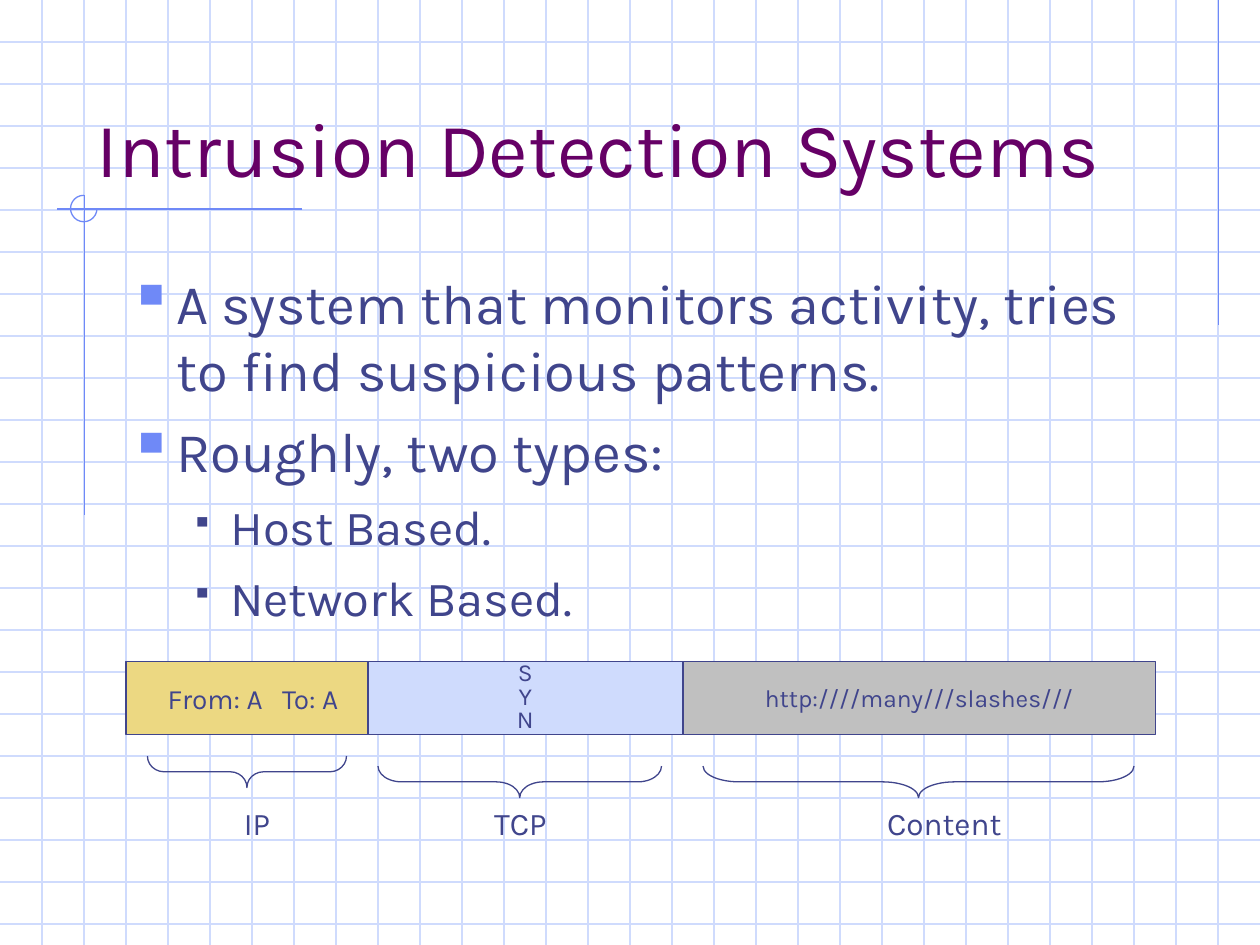
from dataclasses import dataclass
from typing import Any

import lxml.etree
import pptx
import pptx.dml.color
import pptx.enum.shapes
import pptx.enum.text
import pptx.oxml.ns
import pptx.slide
import pptx.util

Inches = pptx.util.Inches
Pt = pptx.util.Pt
RGBColor = pptx.dml.color.RGBColor
Shape = pptx.enum.shapes.MSO_SHAPE
Align = pptx.enum.text.PP_ALIGN
Anchor = pptx.enum.text.MSO_ANCHOR
qn = pptx.oxml.ns.qn

GRID_BLUE = RGBColor(0xCF, 0xDB, 0xFD)
ACCENT_BLUE = RGBColor(0x6F, 0x89, 0xF7)
INDIGO = RGBColor(0x40, 0x45, 0x8C)
PURPLE = RGBColor(0x66, 0x00, 0x66)
GOLD = RGBColor(0xEC, 0xD8, 0x82)
SILVER = RGBColor(0xC0, 0xC0, 0xC0)

PAGE_WIDTH, PAGE_HEIGHT = 10, 7.5
GRID_STEP = 1 / 3
FIELD_TOP, FIELD_HEIGHT = 5.25, 0.58
BRACE_DEPTH = 0.25
LABEL_TOP, LABEL_HEIGHT = 6.33, 0.4


@dataclass(frozen=True)
class Rule:
    start: tuple[float, float]
    end: tuple[float, float]
    color: RGBColor = ACCENT_BLUE


@dataclass(frozen=True)
class BulletLevel:
    indent: float
    hanging: float
    before: float
    size: float
    color: RGBColor
    percent: int


@dataclass(frozen=True)
class PacketField:
    left: float
    width: float
    fill: RGBColor
    lines: tuple[str, ...]
    text_format: dict[str, Any]
    size: float
    inset: float = 0.1
    tab: float | None = None


@dataclass(frozen=True)
class Brace:
    left: float
    top: float
    length: float


@dataclass(frozen=True)
class Label:
    text: str
    left: float
    width: float


GRID = [
    Rule((0, GRID_STEP * row), (PAGE_WIDTH, GRID_STEP * row), GRID_BLUE) for row in range(1, 23)
] + [
    Rule((GRID_STEP * column, 0), (GRID_STEP * column, PAGE_HEIGHT), GRID_BLUE)
    for column in range(1, 30)
]
ACCENTS = [
    Rule((9.67, 0), (9.67, 2.58)),
    Rule((2.4, 1.66), (0.45, 1.66)),
    Rule((0.67, 1.55), (0.67, 4.09)),
]
TOPIC = BulletLevel(0.38, 0.38, 8, 32, ACCENT_BLUE, 110)
DETAIL = BulletLevel(0.81, 0.31, 7, 28, INDIGO, 60)
BULLETS = [
    ("A system that monitors activity, tries to find suspicious patterns.", TOPIC),
    ("Roughly, two types:", TOPIC),
    ("Host Based.", DETAIL),
    ("Network Based.", DETAIL),
]
CENTERED = {"alignment": Align.CENTER}
FIELDS = [
    PacketField(1, 2, GOLD, ("From: A\tTo: A",), {"alignment": Align.LEFT}, 16, 0.33, 0.91),
    PacketField(2.92, 2.5, GRID_BLUE, ("S", "Y", "N"), CENTERED | {"line_spacing": 0.8}, 14),
    PacketField(5.42, 3.75, SILVER, ("http:////many///slashes///",), CENTERED, 14),
]
BRACES = [Brace(1.17, 6, 1.58), Brace(3, 6.08, 2.25), Brace(5.58, 6.08, 3.42)]
LABELS = [Label("IP", 1.58, 0.92), Label("TCP", 3.67, 0.92), Label("Content", 6.83, 1.33)]


def apply(target: Any, values: dict[str, Any]) -> None:
    for name, value in values.items():
        setattr(target, name, value)


def add_property(para: Any, tag: str, **attributes: str) -> Any:
    properties = para._p.get_or_add_pPr()
    return lxml.etree.SubElement(properties, qn(tag), attributes)


def write(para: Any, text: str, size: float, color: RGBColor = INDIGO) -> None:
    span = para.add_run()
    span.text = text
    apply(span.font, {"name": "Karla", "size": Pt(size)})
    span.font.color.rgb = color


def add_text_box(page: pptx.slide.Slide, left: float, top: float, width: float, height: float,
                 anchor: Any = Anchor.TOP) -> Any:
    box = page.shapes.add_textbox(Inches(left), Inches(top), Inches(width), Inches(height))
    apply(box.text_frame, {"word_wrap": True, "vertical_anchor": anchor})
    return box.text_frame


def paragraph_at(frame: Any, index: int) -> Any:
    return frame.add_paragraph() if index else frame.paragraphs[0]


def add_outline(page: pptx.slide.Slide, kind: Any, left: float, top: float, width: float,
                height: float, color: RGBColor = INDIGO) -> Any:
    outline = page.shapes.add_shape(kind, Inches(left), Inches(top), Inches(width), Inches(height))
    outline.shadow.inherit = False
    outline.fill.background()
    outline.line.color.rgb = color
    outline.line.width = Pt(0.75)
    return outline


def draw_rule(page: pptx.slide.Slide, rule: Rule) -> None:
    ends = [Inches(value) for value in rule.start + rule.end]
    connector = page.shapes.add_connector(pptx.enum.shapes.MSO_CONNECTOR.STRAIGHT, *ends)
    connector.line.color.rgb = rule.color
    connector.line.width = Pt(0.75)
    lxml.etree.SubElement(connector._element.spPr, qn("a:effectLst"))


def draw_bullets(page: pptx.slide.Slide) -> None:
    frame = add_text_box(page, 0.92, 2.08, 8.5, 4.5)
    for index, (text, level) in enumerate(BULLETS):
        para = paragraph_at(frame, index)
        properties = para._p.get_or_add_pPr()
        properties.set("marL", str(Inches(level.indent)))
        properties.set("indent", str(-Inches(level.hanging)))
        color = add_property(para, "a:buClr")
        lxml.etree.SubElement(color, qn("a:srgbClr"), val=str(level.color))
        add_property(para, "a:buSzPct", val=str(level.percent * 1000))
        add_property(para, "a:buChar", char="▪")
        if index:
            para.space_before = Pt(level.before)
        write(para, text, level.size)


def draw_field(page: pptx.slide.Slide, field: PacketField) -> None:
    box = add_outline(page, Shape.RECTANGLE, field.left, FIELD_TOP, field.width, FIELD_HEIGHT)
    box.fill.solid()
    box.fill.fore_color.rgb = field.fill
    frame = box.text_frame
    apply(frame, {"word_wrap": field.tab is not None, "vertical_anchor": Anchor.MIDDLE,
                  "margin_left": Inches(field.inset)})
    for index, text in enumerate(field.lines):
        para = paragraph_at(frame, index)
        if field.tab is not None:
            stops = add_property(para, "a:tabLst")
            lxml.etree.SubElement(stops, qn("a:tab"), pos=str(Inches(field.tab)), algn="l")
        apply(para, field.text_format)
        write(para, text, field.size)


def draw_brace(page: pptx.slide.Slide, brace: Brace) -> None:
    shift = (brace.length - BRACE_DEPTH) / 2
    outline = add_outline(page, Shape.LEFT_BRACE, brace.left + shift, brace.top - shift,
                          BRACE_DEPTH, brace.length)
    outline.rotation = 270
    outline.adjustments[0] = brace.length / BRACE_DEPTH / 12


def draw_label(page: pptx.slide.Slide, label: Label) -> None:
    para = add_text_box(page, label.left, LABEL_TOP, label.width, LABEL_HEIGHT).paragraphs[0]
    apply(para, CENTERED)
    write(para, label.text, 18)


def main() -> None:
    deck = pptx.Presentation()
    apply(deck, {"slide_width": Inches(PAGE_WIDTH), "slide_height": Inches(PAGE_HEIGHT)})
    page = deck.slides.add_slide(deck.slide_layouts[6])
    for rule in GRID + ACCENTS:
        draw_rule(page, rule)
    arc = add_outline(page, Shape.ARC, 0.56, 1.55, 0.21, 0.21, ACCENT_BLUE)
    arc.adjustments[0], arc.adjustments[1] = 0, 162
    title = add_text_box(page, 0.67, 0.33, 8.5, 1.25, Anchor.BOTTOM)
    write(title.paragraphs[0], "Intrusion Detection Systems", 44, PURPLE)
    draw_bullets(page)
    for draw, items in ((draw_field, FIELDS), (draw_brace, BRACES), (draw_label, LABELS)):
        for item in items:
            draw(page, item)
    deck.save("out.pptx")


if __name__ == "__main__":
    main()
